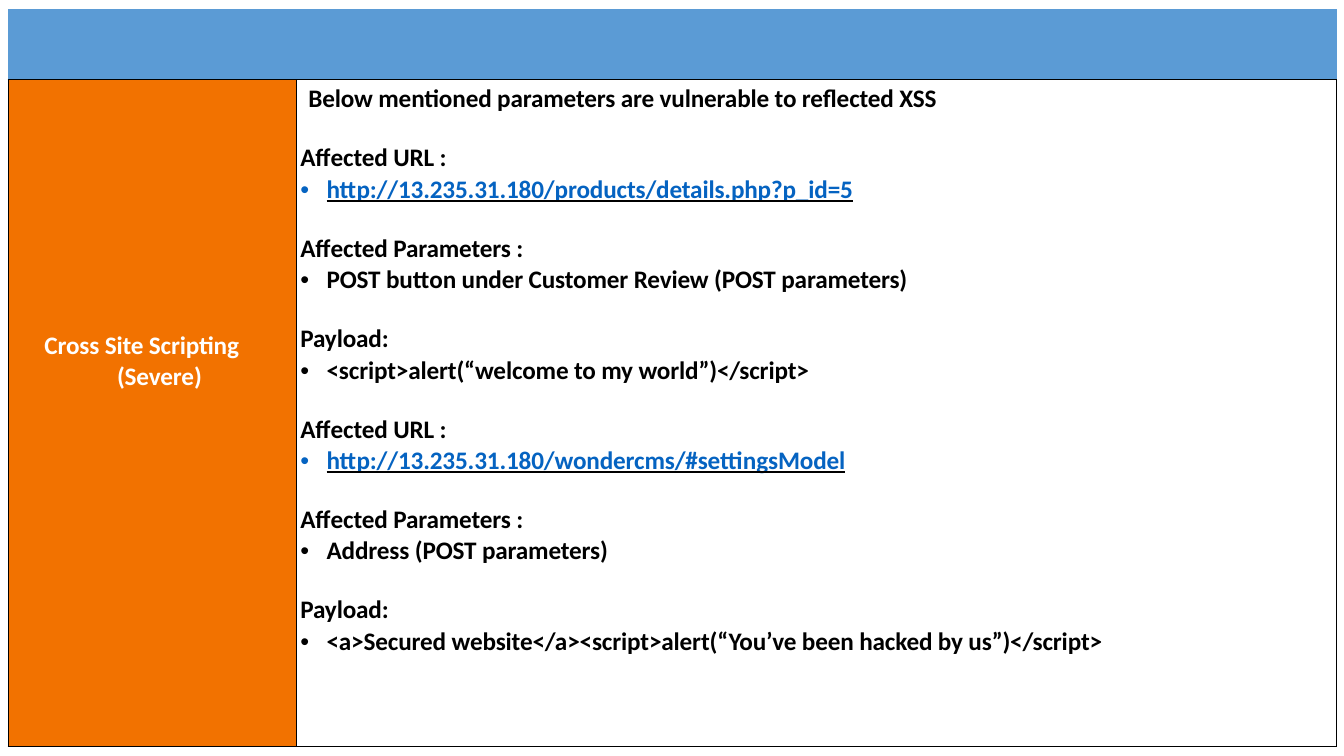
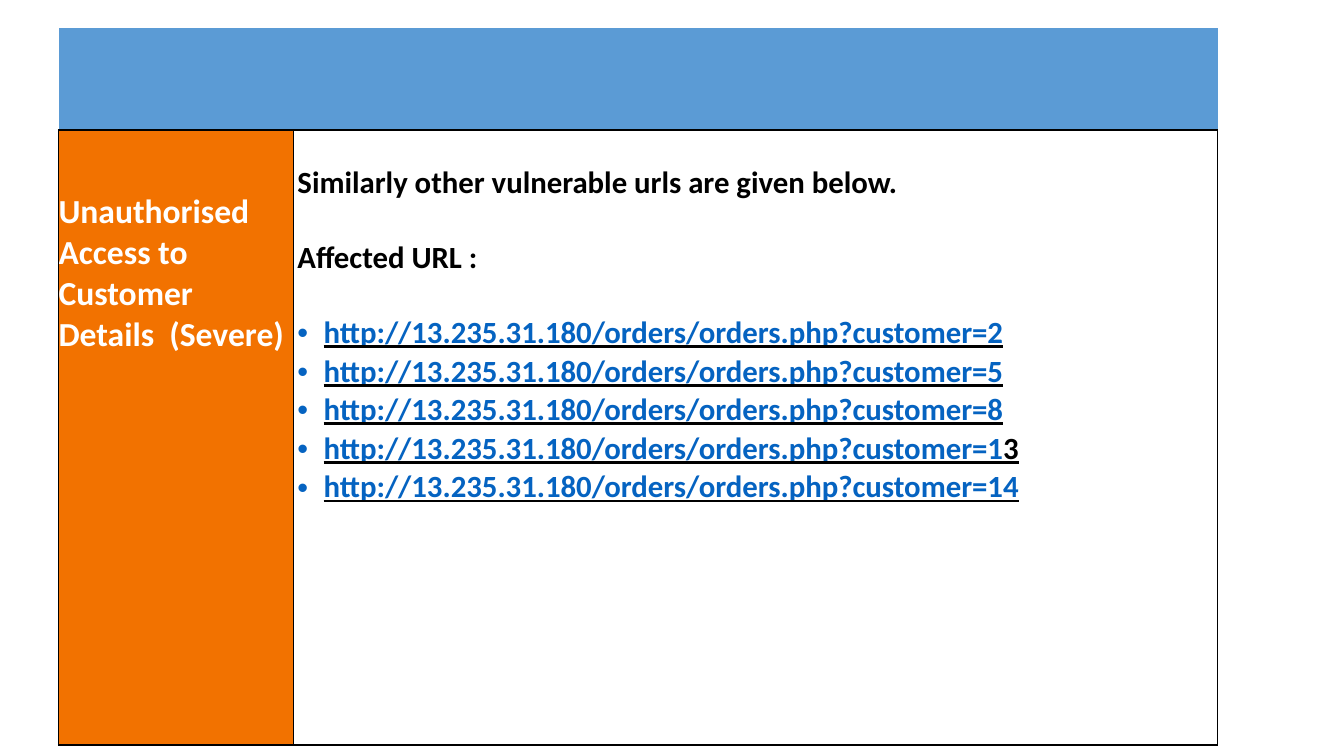
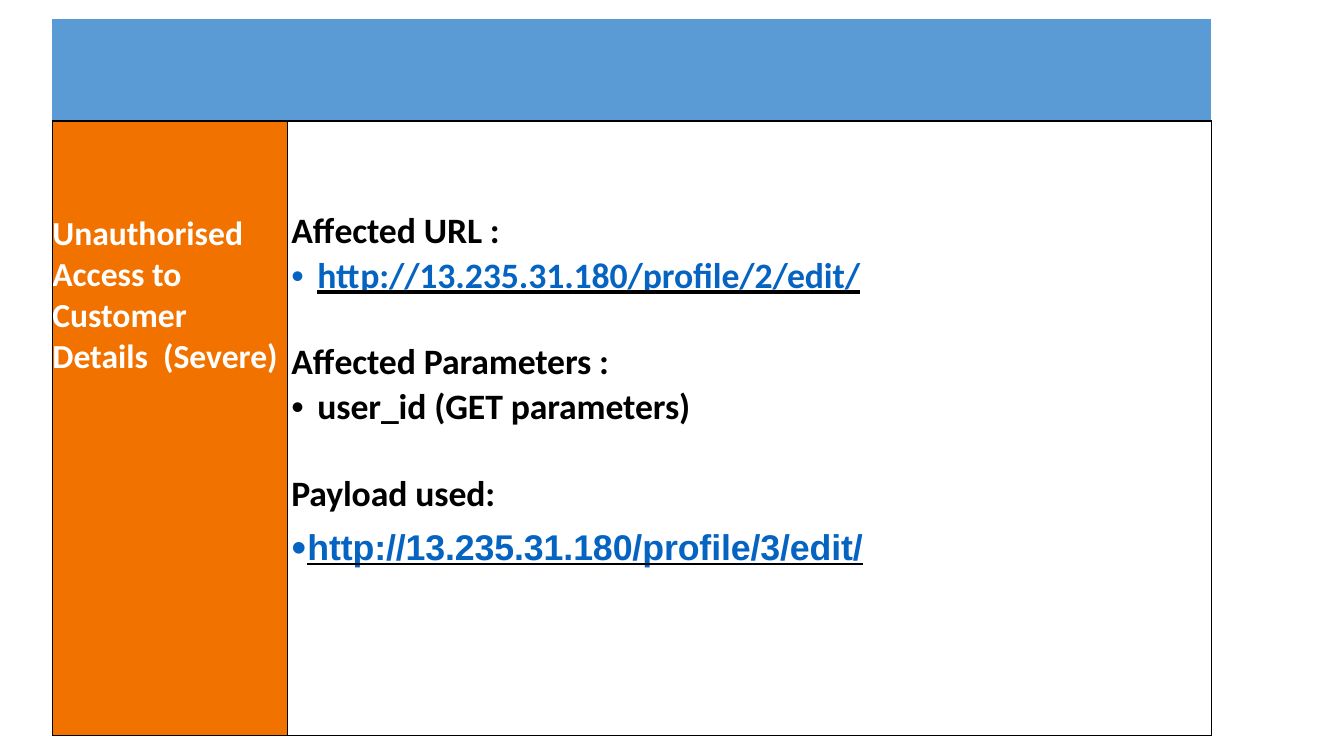
import pptx
import pptx.util
import pptx.dml.color
import pptx.oxml
import pptx.oxml.ns
import lxml.etree
import dataclasses

Pt = pptx.util.Pt
qn = pptx.oxml.ns.qn

BAND, SEVERITY, BLACK, WHITE, LINK = "5B9BD5", "F27200", "000000", "FFFFFF", "0563C1"
PLAIN_TABLE = "{2D5ABB26-0587-4C30-8999-92F81FD0307C}"
BORDER_WIDTH = 1

BASE = {"name": "Calibri", "bold": True}
STYLES = {
    "intro": {"left": 8.6, "hang": 0, "bullet": 0, "colour": BLACK, "font": {}},
    "label": {"left": 2.9, "hang": 0, "bullet": 0, "colour": BLACK, "font": {}},
    "point": {"left": 21.6, "hang": -18.7, "bullet": 100, "colour": BLACK, "font": {}},
    "link": {"left": 21.6, "hang": -18.7, "bullet": 100, "colour": LINK,
             "font": {"underline": True}},
    "payload": {"left": 14.4, "hang": -11.5, "bullet": 120, "colour": LINK,
                "font": {"underline": True, "name": "Arial"}, "before": 8.7},
    "severity": {"left": 0, "hang": 0, "bullet": 0, "colour": WHITE, "font": {}},
    "severity_hung": {"left": 77.8, "hang": -51.9, "bullet": 0, "colour": WHITE, "font": {}},
}


@dataclasses.dataclass
class Line:
    style: str
    text: str
    tail: str = ""


@dataclasses.dataclass
class Block:
    groups: list
    size: float
    top: float
    group_gap: float = 0
    line_gap: float = 0
    tracking: int = 0


def colour(value):
    return pptx.dml.color.RGBColor.from_string(value)


def set_attributes(target, values):
    for key, value in values.items():
        setattr(target, key, value)


def child(parent, tag, **attributes):
    return lxml.etree.SubElement(parent, qn(tag), attributes)


def set_borders(cell, sides):
    properties = cell._tc.get_or_add_tcPr()
    for position, side in enumerate(sides):
        border = lxml.etree.Element(qn("a:ln" + side), w=str(Pt(BORDER_WIDTH)))
        child(child(border, "a:solidFill"), "a:srgbClr", val=BLACK)
        properties.insert(position, border)


def add_run(paragraph, text, style, block, run_colour):
    run = paragraph.add_run()
    run.text = text
    set_attributes(run.font, {**BASE, "size": Pt(block.size), **style["font"]})
    run.font.color.rgb = colour(run_colour)
    properties = run._r.get_or_add_rPr()
    properties.set("spc", str(block.tracking))
    if style["font"].get("underline"):
        underline = lxml.etree.Element(qn("a:uFill"))
        child(child(underline, "a:solidFill"), "a:srgbClr", val=BLACK)
        properties.find(qn("a:solidFill")).addnext(underline)


def write_line(paragraph, line, block, before):
    style = STYLES[line.style]
    properties = paragraph._p.get_or_add_pPr()
    properties.set("marL", str(Pt(style["left"])))
    properties.set("indent", str(Pt(style["hang"])))
    if style["bullet"]:
        child(properties, "a:buSzPct", val=str(style["bullet"] * 1000))
        child(properties, "a:buFont", typeface="Arial")
        child(properties, "a:buChar", char="•")
    paragraph.space_before = Pt(before)
    add_run(paragraph, line.text, style, block, style["colour"])
    if line.tail:
        add_run(paragraph, line.tail, style, block, BLACK)


def fill_cell(cell, block):
    set_attributes(cell, {"margin_left": 0, "margin_right": 0,
                          "margin_top": Pt(block.top), "margin_bottom": 0})
    frame = cell.text_frame
    for group_index, group in enumerate(block.groups):
        for line_index, line in enumerate(group):
            first = group_index == line_index == 0
            gap = block.line_gap if line_index else block.group_gap
            before = 0 if first else STYLES[line.style].get("before", gap)
            paragraph = frame.paragraphs[0] if first else frame.add_paragraph()
            write_line(paragraph, line, block, before)


def add_finding(presentation, box, columns, rows, severity, details):
    slide = presentation.slides.add_slide(presentation.slide_layouts[6])
    left, top = box
    table = slide.shapes.add_table(2, 2, Pt(left), Pt(top),
                                   Pt(sum(columns)), Pt(sum(rows))).table
    table._tbl.tblPr.find(qn("a:tableStyleId")).text = PLAIN_TABLE
    for column, width in zip(table.columns, columns):
        column.width = Pt(width)
    for row, height in zip(table.rows, rows):
        row.height = Pt(height)

    band = table.cell(0, 0)
    band.merge(table.cell(0, 1))
    severity_cell, details_cell = table.cell(1, 0), table.cell(1, 1)
    for cell, fill in ((band, BAND), (severity_cell, SEVERITY)):
        cell.fill.solid()
        cell.fill.fore_color.rgb = colour(fill)
    details_cell.fill.background()
    set_borders(band, ["B"])
    set_borders(table.cell(0, 1), ["B"])
    for cell, block in ((severity_cell, severity), (details_cell, details)):
        set_borders(cell, ["L", "R", "T", "B"])
        fill_cell(cell, block)


def access_severity(top):
    title = "Unauthorised Access to Customer Details  (Severe)"
    return Block([[Line("severity", title)]], size=24, top=top)


def main():
    presentation = pptx.Presentation()
    set_attributes(presentation, {"slide_width": Pt(960), "slide_height": Pt(540)})

    scripting = Block([[Line("severity_hung", "Cross Site Scripting (Severe)")]],
                      size=18, top=179.4, tracking=-10)
    scripting_details = Block([
        [Line("intro", "Below mentioned parameters are vulnerable to reflected XSS")],
        [Line("label", "Affected URL :"),
         Line("link", "http://13.235.31.180/products/details.php?p_id=5")],
        [Line("label", "Affected Parameters :"),
         Line("point", "POST button under Customer Review (POST parameters)")],
        [Line("label", "Payload:"),
         Line("point", "<script>alert(“welcome to my world”)</script>")],
        [Line("label", "Affected URL :"),
         Line("link", "http://13.235.31.180/wondercms/#settingsModel")],
        [Line("label", "Affected Parameters :"),
         Line("point", "Address (POST parameters)")],
        [Line("label", "Payload:"),
         Line("point", "<a>Secured website</a><script>alert(“You’ve been hacked by us”)</script>")],
    ], size=18, top=2.9, group_gap=20.2, line_gap=0.45, tracking=-10)
    add_finding(presentation, (5.8, 6.5), (205.9, 743), (50.4, 476.6),
                scripting, scripting_details)

    orders = "http://13.235.31.180/orders/orders.php?customer="
    order_links = [Line("link", orders + customer, tail)
                   for customer, tail in (("2", ""), ("5", ""), ("8", ""), ("1", "3"), ("14", ""))]
    order_details = Block([
        [Line("label", "Similarly other vulnerable urls are given below.")],
        [Line("label", "Affected URL :")],
        order_links,
    ], size=22, top=24.1, group_gap=27, line_gap=0.8)

    profile_details = Block([
        [Line("label", "Affected URL :"),
         Line("link", "http://13.235.31.180/profile/2/edit/")],
        [Line("label", "Affected Parameters :"),
         Line("point", "user_id (GET parameters)")],
        [Line("label", "Payload used:"),
         Line("payload", "http://13.235.31.180/profile/3/edit/")],
    ], size=25.5, top=63.2, group_gap=30.6, line_gap=0.8, tracking=-10)

    for box, severity_top, details in (((41.8, 20.2), 44.3, order_details),
                                       ((37.4, 13.7), 66.4, profile_details)):
        add_finding(presentation, box, (167.8, 660.2), (72.7, 439.2),
                    access_severity(severity_top), details)

    presentation.save("out.pptx")


if __name__ == "__main__":
    main()
